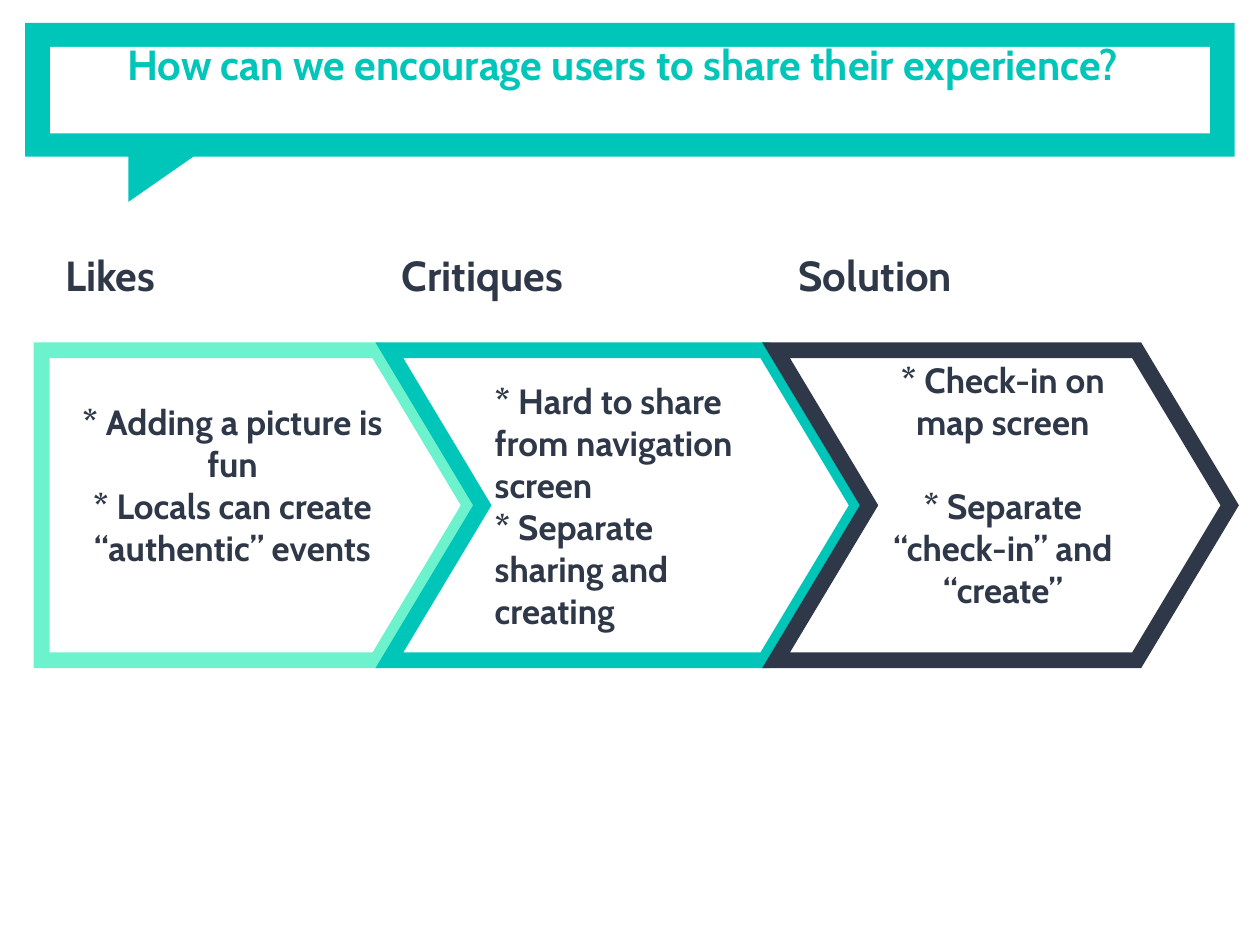
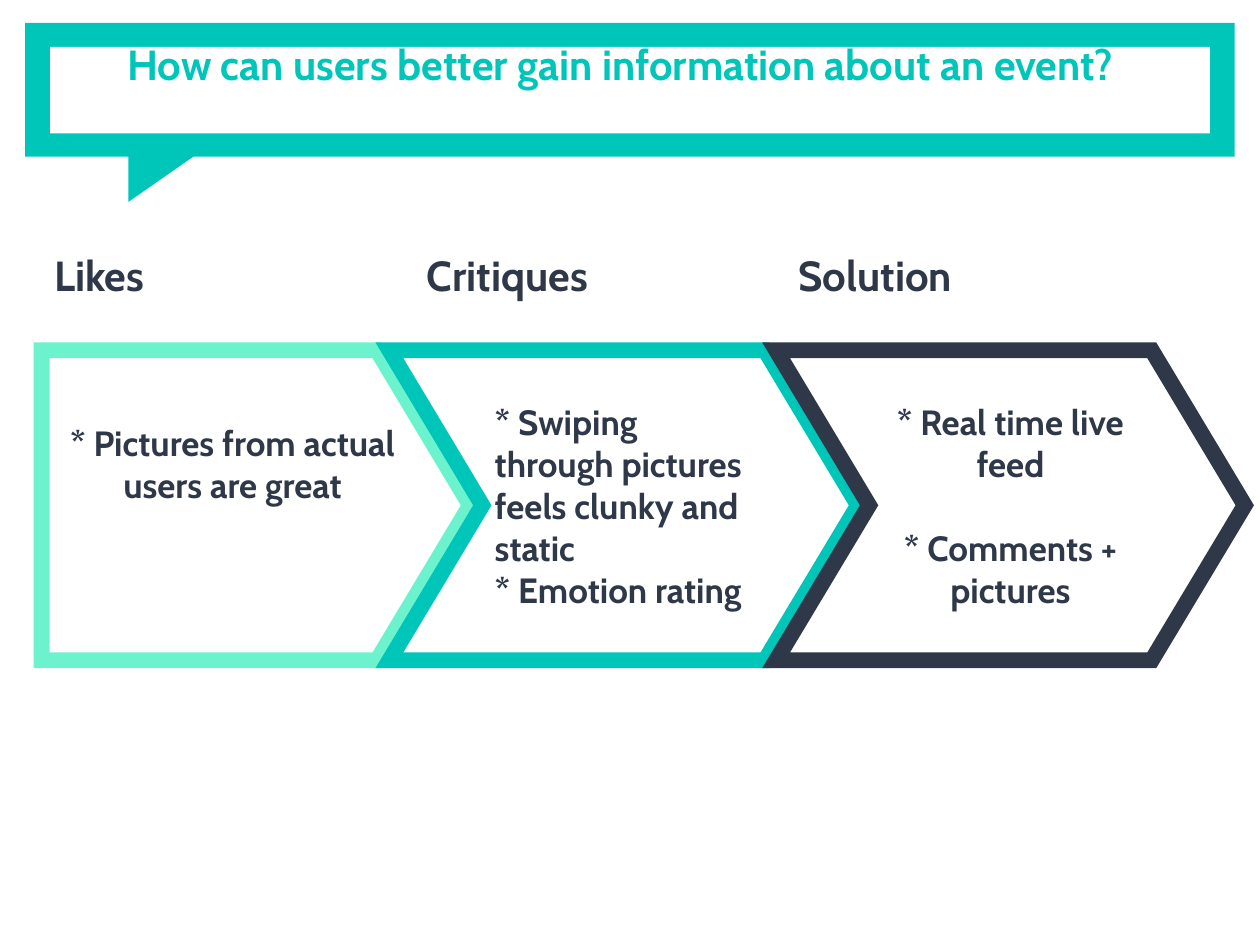
from lxml import etree
from pptx import Presentation
from pptx.dml.color import RGBColor
from pptx.enum.shapes import MSO_SHAPE
from pptx.enum.text import MSO_ANCHOR, MSO_AUTO_SIZE, PP_ALIGN
from pptx.oxml.ns import qn
from pptx.util import Pt

RECTANGLE, TRIANGLE = MSO_SHAPE.RECTANGLE, MSO_SHAPE.RIGHT_TRIANGLE
PENTAGON, CHEVRON = MSO_SHAPE.PENTAGON, MSO_SHAPE.CHEVRON
LEFT, CENTER = PP_ALIGN.LEFT, PP_ALIGN.CENTER

FONT = "Cabin"
TEAL, MINT, NAVY, WHITE = "00C5B9", "6CF3CE", "2F3848", "FFFFFF"
INSET = 7.2
BODY_LINE, TITLE_LINE = 24, 29
ARROW_TOP, ARROW_HEIGHT = 200.2, 177.1
HEADING_TOP, HEADING_WIDTH, HEADING_HEIGHT = 131, 115.2, 51.8
TITLE_AREA = (65.5, 13, 626.4, 76.3)

SLIDES = [
    {
        "title": "How can we encourage users to share their experience?",
        "headings": [("Likes", 30.2), ("Critiques", 222.5), ("Solution", 449.3)],
        "likes": ["* Adding a picture is fun", "* Locals can create “authentic” events"],
        "critiques": ["* Hard to share from navigation screen",
                      "* Separate sharing and creating"],
        "solution": ["* Check-in on map screen", "* Separate “check-in” and “create”"],
        "likes_lift": 1,
        "solution_lift": 1,
        "solution_width": 259.2,
    },
    {
        "title": "How can users better gain information about an event?",
        "headings": [("Likes", 23.8), ("Critiques", 236.9), ("Solution", 449.3)],
        "likes": ["* Pictures from actual users are great"],
        "critiques": ["* Swiping through pictures feels clunky and static",
                      "* Emotion rating"],
        "solution": ["* Real time live feed", "* Comments + pictures"],
        "likes_lift": 2,
        "solution_lift": 0,
        "solution_width": 267.8,
    },
]


def rgb(value):
    """Turn a hex string into a colour."""
    return RGBColor.from_string(value)


def points(*lengths):
    """Convert numbers to point lengths."""
    return [Pt(length) for length in lengths]


def write_text(box, lines, size, color, align=LEFT, before=0, gap=0, lift=0):
    """Fill a box with bold paragraphs, raised by extra space at its foot."""
    frame = box.text_frame
    settings = {
        "word_wrap": True,
        "auto_size": MSO_AUTO_SIZE.NONE,
        "vertical_anchor": MSO_ANCHOR.MIDDLE,
        "margin_left": Pt(INSET),
        "margin_right": Pt(INSET),
        "margin_top": Pt(INSET),
        "margin_bottom": Pt(INSET + lift),
    }
    for name, value in settings.items():
        setattr(frame, name, value)
    for index, line in enumerate(lines):
        para = frame.add_paragraph() if index else frame.paragraphs[0]
        para.alignment = align
        para.space_before = Pt(gap if index else before)
        span = para.add_run()
        span.text = line
        for name, value in {"name": FONT, "size": Pt(size), "bold": True}.items():
            setattr(span.font, name, value)
        span.font.color.rgb = rgb(color)


def add_block(page, kind, area, color, rotation=0):
    """Add a plain filled shape."""
    block = page.shapes.add_shape(kind, *points(*area))
    block.shadow.inherit = False
    block.fill.solid()
    block.fill.fore_color.rgb = rgb(color)
    block.line.fill.background()
    block.rotation = rotation
    return block


def add_arrow(page, kind, left, width, color, lines, **text_format):
    """Add an outlined arrow that holds text."""
    arrow = page.shapes.add_shape(kind, *points(left, ARROW_TOP, width, ARROW_HEIGHT))
    arrow.shadow.inherit = False
    arrow.adjustments[0] = 0.3
    arrow.fill.background()
    arrow.line.color.rgb = rgb(color)
    arrow.line.width = Pt(9)
    outline = arrow.element.spPr.find(qn("a:ln"))
    etree.SubElement(outline, qn("a:miter"), lim="800000")
    write_text(arrow, lines, 20, NAVY, **text_format)


def add_heading(page, label, left):
    """Add a column heading."""
    box = page.shapes.add_textbox(
        *points(left, HEADING_TOP, HEADING_WIDTH, HEADING_HEIGHT))
    write_text(box, [label], 24, NAVY, before=6)


def set_up_layout(layout, page):
    """Place the title and the speech banner on the shared layout."""
    title = layout.placeholders[0]
    title.left, title.top, title.width, title.height = points(*TITLE_AREA)
    banner = [
        add_block(page, RECTANGLE, (14.4, 13, 691.2, 76.5), TEAL),
        add_block(page, TRIANGLE, (80.9, 73.2, 34.6, 49.7), TEAL, 90),
        add_block(page, RECTANGLE, (28.6, 26.8, 662.8, 49.5), WHITE),
    ]
    for block in banner:
        layout.shapes.element.append(block.element)


def fill_page(page, content):
    """Add the title, the arrows and the headings of one slide."""
    add_arrow(page, PENTAGON, 23.8, 244.8, MINT, content["likes"],
              align=CENTER, lift=content["likes_lift"] * BODY_LINE)
    add_arrow(page, CHEVRON, 222.5, 267.8, TEAL, content["critiques"])
    add_arrow(page, CHEVRON, 443.5, content["solution_width"], NAVY,
              content["solution"], align=CENTER, gap=BODY_LINE,
              lift=content["solution_lift"] * BODY_LINE)
    write_text(page.shapes.title, [content["title"]], 24, TEAL, lift=TITLE_LINE)
    for label, left in content["headings"]:
        add_heading(page, label, left)


def main():
    """Build and save the deck."""
    deck = Presentation()
    deck.slide_width, deck.slide_height = points(720, 540)
    layout = deck.slide_layouts[5]
    pages = [deck.slides.add_slide(layout) for _ in SLIDES]
    set_up_layout(layout, pages[0])
    for page, content in zip(pages, SLIDES):
        fill_page(page, content)
    deck.save("out.pptx")


if __name__ == "__main__":
    main()
